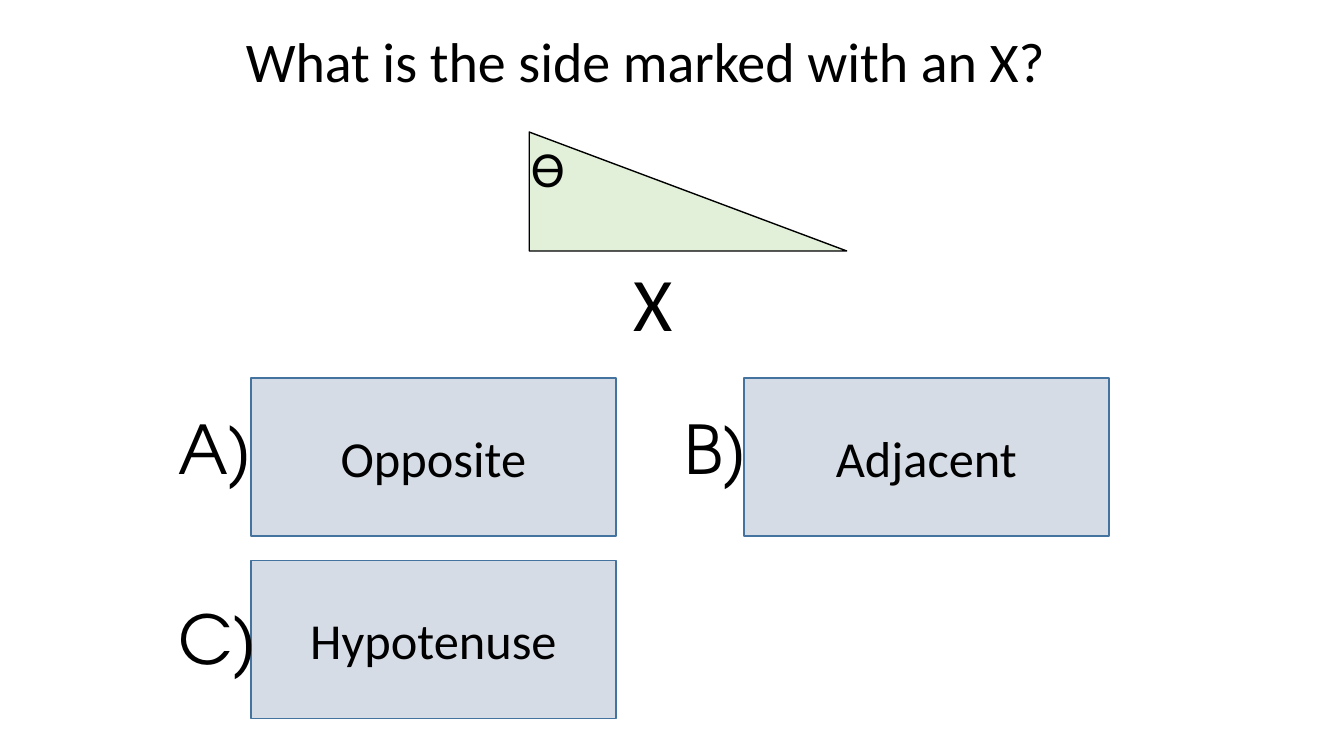
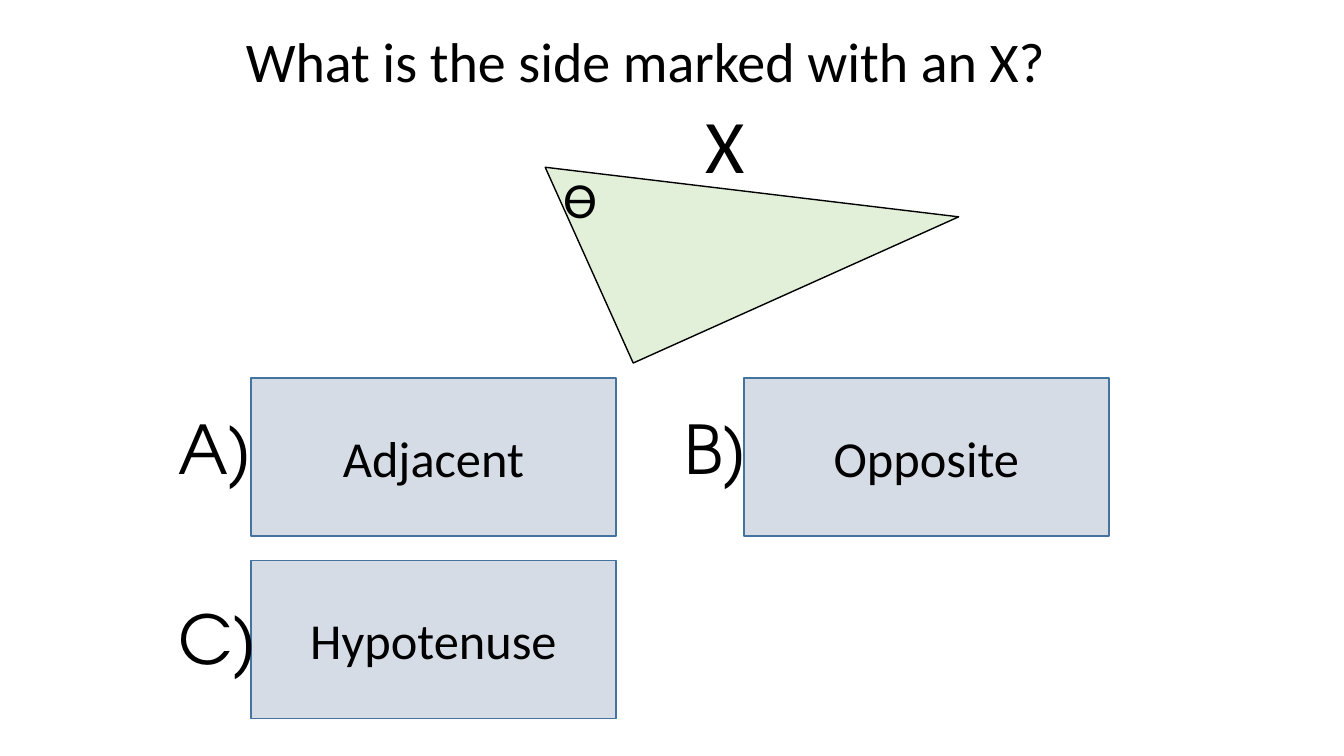
from dataclasses import dataclass

from pptx import Presentation
from pptx import util as u
from pptx.dml.color import RGBColor
from pptx.enum import shapes, text


@dataclass(frozen=True)
class Theme:
    ink: str = "000000"
    box: str = "D6DCE5"
    edge: str = "43739E"
    leaf: str = "E2F0D9"
    body: str = "Calibri"
    mark: str = "TeX Gyre Adventor"
    title: int = 40
    answer: int = 36
    letter: int = 48
    side: int = 54
    line: int = 1


class Quiz:
    """Draw quiz slides on a grid of 160 columns by 90 rows."""

    cols, rows = 160, 90

    def __init__(self, theme):
        self.theme = theme
        self.deck = Presentation()
        self.deck.slide_width = u.Inches(13.33)
        self.deck.slide_height = u.Inches(7.5)
        self.slide = None

    def page(self):
        self.slide = self.deck.slides.add_slide(self.deck.slide_layouts[6])

    def place(self, x, y, w, h):
        wide = self.deck.slide_width / self.cols
        high = self.deck.slide_height / self.rows
        return [round(n) for n in (x * wide, y * high, w * wide, h * high)]

    def add_words(self, para, words, size, font):
        run = para.add_run()
        run.text = words
        run.font.size = u.Pt(size)
        run.font.name = font
        run.font.color.rgb = RGBColor.from_string(self.theme.ink)

    def label(self, words, area, size, font=None, wrap=False):
        frame = self.slide.shapes.add_textbox(*self.place(*area)).text_frame
        frame.word_wrap = wrap
        if not wrap:
            frame.auto_size = text.MSO_AUTO_SIZE.SHAPE_TO_FIT_TEXT
        self.add_words(frame.paragraphs[0], words, size, font or self.theme.body)

    def shape(self, kind, area, fill, line):
        item = self.slide.shapes.add_shape(kind, *self.place(*area))
        item.shadow.inherit = False
        item.fill.solid()
        item.fill.fore_color.rgb = RGBColor.from_string(fill)
        item.line.color.rgb = RGBColor.from_string(line)
        item.line.width = u.Pt(self.theme.line)
        return item

    def title(self, words):
        self.label(words, (28.08, 2.52, 102.96, 17.4), self.theme.title, wrap=True)

    def answer(self, words, col, row):
        area = (29.88 + col * 58.68, 45 + row * 21.72, 43.44, 18.84)
        item = self.shape(shapes.MSO_SHAPE.RECTANGLE, area,
                          self.theme.box, self.theme.edge)
        frame = item.text_frame
        frame.vertical_anchor = text.MSO_ANCHOR.MIDDLE
        para = frame.paragraphs[0]
        para.alignment = text.PP_ALIGN.CENTER
        self.add_words(para, words, self.theme.answer, self.theme.body)

    def letter(self, words, col, row, wide):
        area = (20.04 + col * 60.24, 47.88 + row * 22.68, wide, 10.92)
        self.label(words, area, self.theme.letter, self.theme.mark)

    def figure(self, area, turn, angle, side):
        item = self.shape(shapes.MSO_SHAPE.RIGHT_TRIANGLE, area,
                          self.theme.leaf, self.theme.ink)
        item.rotation = turn
        self.label("ϴ", (*angle, 6.48, 8.52), self.theme.answer)
        self.label("X", (*side, 7.92, 12.12), self.theme.side)


SLOTS = [("A)", 0, 0, 11.4), ("B)", 1, 0, 10.08), ("C)", 0, 1, 12)]

PAGES = [
    (("Opposite", "Adjacent", "Hypotenuse"),
     ((63, 15.72, 37.8, 14.16), 0, (62.04, 15.72), (74.28, 29.88))),
    (("Adjacent", "Opposite", "Hypotenuse"),
     ((68.28, 10.08, 42.48, 25.56), 335.8, (65.88, 19.44), (82.8, 11.04))),
]


def main():
    quiz = Quiz(Theme())
    for answers, figure in PAGES:
        quiz.page()
        for words, (mark, col, row, wide) in zip(answers, SLOTS):
            quiz.answer(words, col, row)
            quiz.letter(mark, col, row, wide)
        quiz.figure(*figure)
        quiz.title("What is the side marked with an X?")
    quiz.deck.save("out.pptx")


if __name__ == "__main__":
    main()
